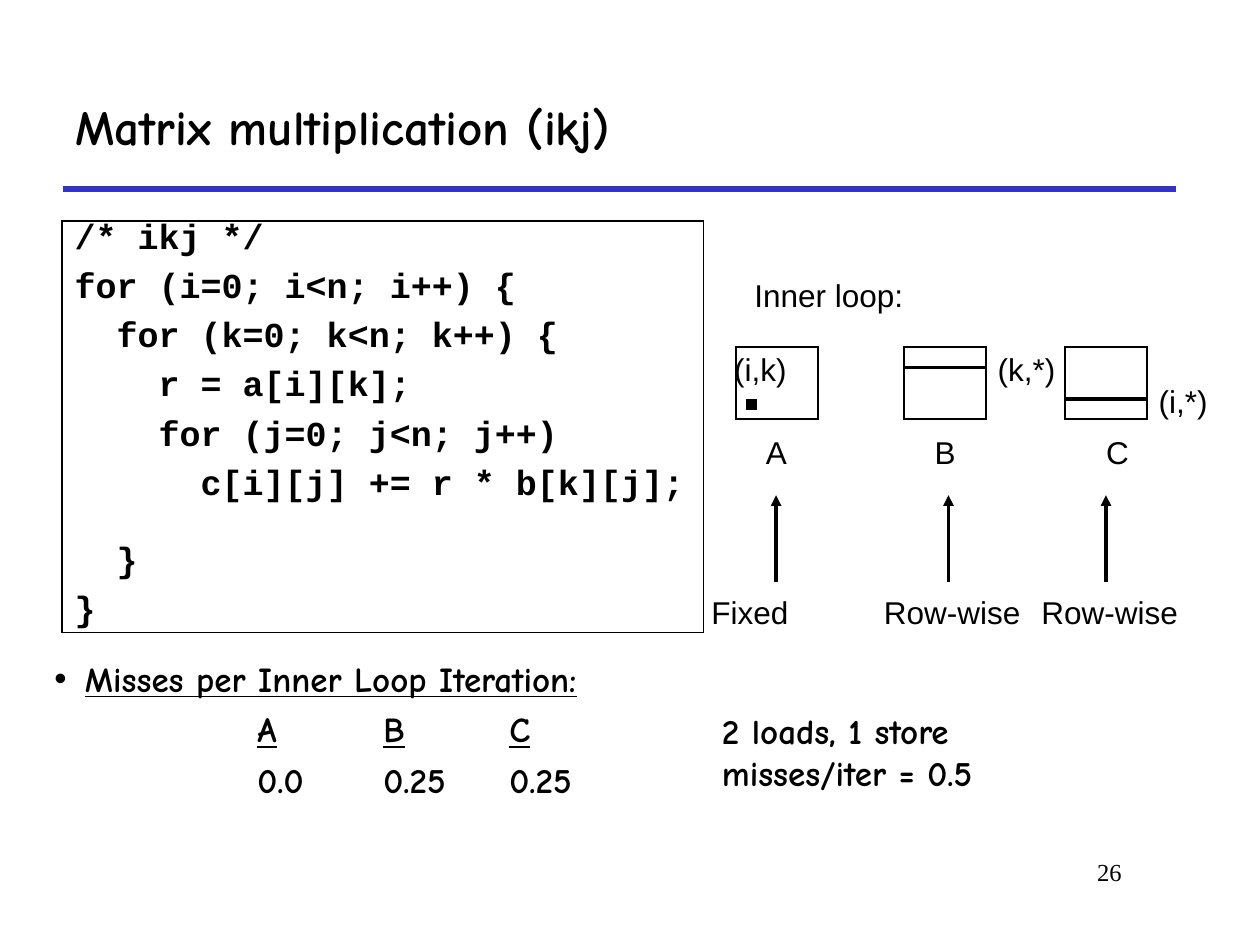
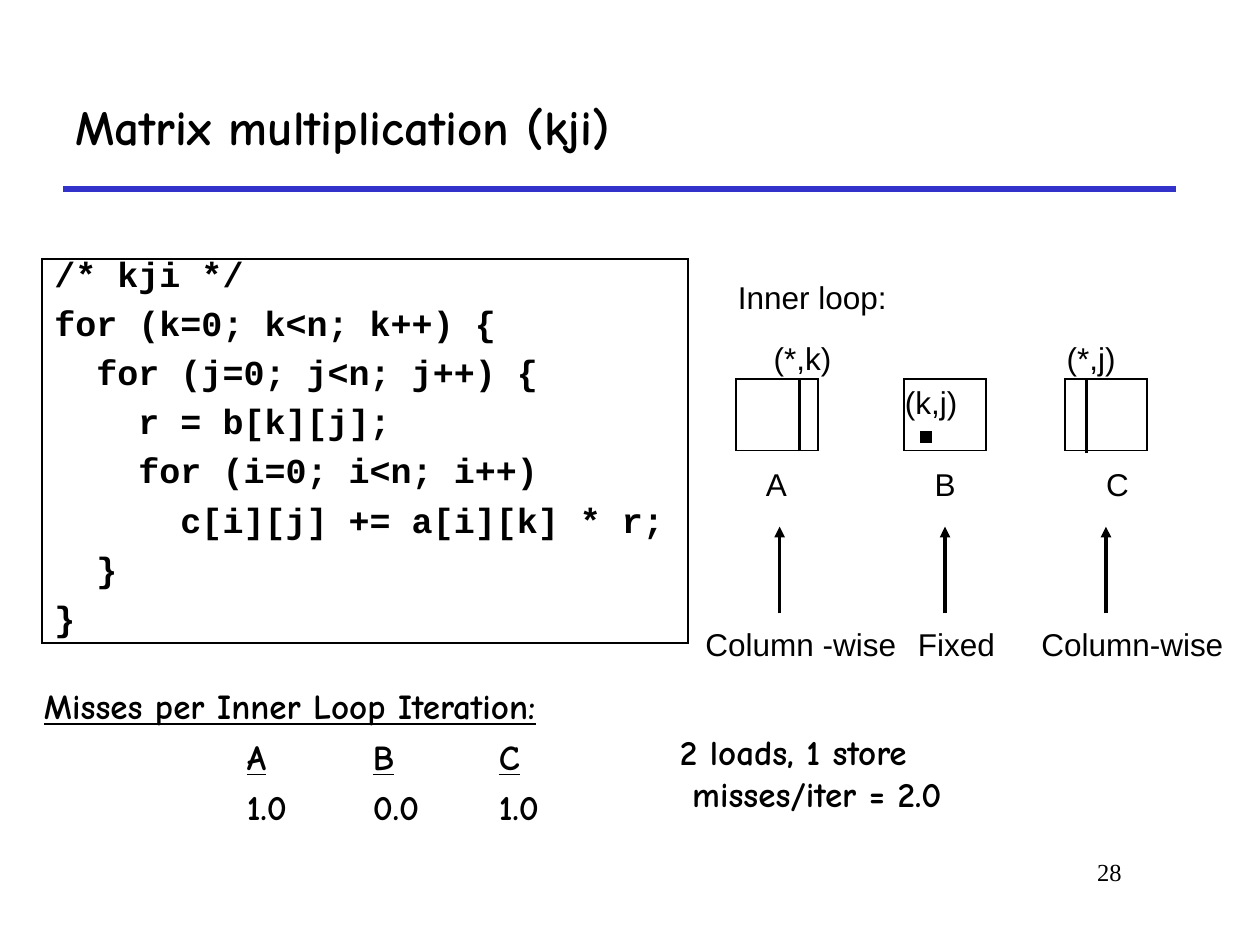
from lxml.etree import SubElement
from pptx import Presentation
from pptx.dml.color import RGBColor
from pptx.enum.shapes import MSO_CONNECTOR, MSO_SHAPE
from pptx.enum.text import MSO_ANCHOR, PP_ALIGN
from pptx.oxml.ns import qn
from pptx.util import Pt

BLACK, WHITE, RULE_BLUE = "000000", "FFFFFF", "3333CC"
HEADING_FONT, CODE_FONT = "Comic Neue", "Courier New"
LABEL_FONT, NUMBER_FONT = "Arial", "Times New Roman"

MATRIX_LEFTS = {"A": 420.5, "B": 516.5, "C": 608.5}
NAME_LEFTS = {"A": 430.5, "B": 527, "C": 625}
MATRIX_SIZE = (47, 41)
MISS_INDENT, MISS_TAB = 44, 72

IKJ = {
    "order": "ikj", "number": "26",
    "code_box": (35.5, 126.5, 366.5, 235),
    "code": ["/* ikj */", "for (i=0; i<n; i++) {", "  for (k=0; k<n; k++) {",
             "    r = a[i][k];", "    for (j=0; j<n; j++)",
             "      c[i][j] += r * b[k][j];", "  }", "}"],
    "wide_gap_line": 6,
    "inner_loop": (424, 154),
    "matrix_top": 198.5,
    "indices": [("(i,k)", 412.5, 196.5, 50), ("(k,*)", 563, 196.5, 54),
                ("(i,*)", 655, 214.5, 50)],
    "element": (427, 229),
    "strips": [(517, 210, 563, 210), (609, 228, 655, 228)],
    "access": [("Fixed", 399.5, 64, 443.5), ("Row-wise", 498, 98, 542),
               ("Row-wise", 588, 98, 632)],
    "misses_box": (24, 372, 391, 96.5), "bullet": True,
    "misses": ("0.0", "0.25", "0.25"),
    "total_box": (396, 402, 252, 55.5), "total": "misses/iter = 0.5", "total_indent": 9.5,
}
KJI = {
    "order": "kji", "number": "28",
    "code_box": (24, 148, 369, 219.5),
    "code": ["/* kji */", "for (k=0; k<n; k++) {", "  for (j=0; j<n; j++) {",
             "    r = b[k][j];", "    for (i=0; i<n; i++)",
             "      c[i][j] += a[i][k] * r;", "  }", "}"],
    "wide_gap_line": None,
    "inner_loop": (414.5, 155.5),
    "matrix_top": 216.5,
    "indices": [("(*,k)", 435, 190, 54), ("(k,j)", 510, 215.5, 50),
                ("(*,j)", 602.5, 190, 50)],
    "element": (527, 247.5),
    "strips": [(457, 258, 457, 216), (621, 259, 621, 217)],
    "access": [("Column -wise", 396, 138, 445.5), ("Fixed", 517.5, 64, 540),
               ("Column-wise", 588, 124, 632)],
    "misses_box": (18, 387.5, 379, 96.5), "bullet": False,
    "misses": ("1.0", "0.0", "1.0"),
    "total_box": (372, 414, 216, 55.5), "total": "misses/iter = 2.0", "total_indent": 16.5,
}


def color(hex_code):
    """Turn a hex string into a colour."""
    return RGBColor.from_string(hex_code)


def add_run(paragraph, text, font, size, bold=False, underline=False):
    """Append one styled run to a paragraph."""
    run = paragraph.add_run()
    run.text = text
    run.font.name, run.font.size = font, Pt(size)
    run.font.bold, run.font.underline = bold, underline
    run.font.color.rgb = color(BLACK)


def add_text(slide, box, anchor=MSO_ANCHOR.TOP):
    """Add an empty text box and return its text frame."""
    frame = slide.shapes.add_textbox(*map(Pt, box)).text_frame
    frame.word_wrap, frame.vertical_anchor = True, anchor
    return frame


def next_paragraph(frame, space_before=0):
    """Return the unused first paragraph, or a new one with space before."""
    first = frame.paragraphs[0]
    if not first.runs:
        return first
    paragraph = frame.add_paragraph()
    paragraph.space_before = Pt(space_before)
    return paragraph


def set_indent(paragraph, margin, hanging=0):
    """Set the left margin and hanging indent of a paragraph."""
    properties = paragraph._p.get_or_add_pPr()
    properties.set("marL", str(Pt(margin)))
    properties.set("indent", str(-Pt(hanging)))
    return properties


def add_rectangle(slide, box, fill=None, line_width=1):
    """Add a black-edged, sharp-cornered rectangle, hollow unless a fill is given."""
    rectangle = slide.shapes.add_shape(MSO_SHAPE.RECTANGLE, *map(Pt, box))
    rectangle.shadow.inherit = False
    if fill:
        rectangle.fill.solid()
        rectangle.fill.fore_color.rgb = color(fill)
    else:
        rectangle.fill.background()
    rectangle.line.color.rgb = color(BLACK)
    rectangle.line.width = Pt(line_width)
    SubElement(rectangle.line._get_or_add_ln(), qn("a:miter"), lim="800000")
    return rectangle


def add_line(slide, ends, width=2, stroke=BLACK, arrow=False):
    """Add a straight line, with an arrowhead at its end if asked."""
    line = slide.shapes.add_connector(MSO_CONNECTOR.STRAIGHT, *map(Pt, ends))
    line.line.color.rgb, line.line.width = color(stroke), Pt(width)
    if arrow:
        SubElement(line.line._get_or_add_ln(), qn("a:tailEnd"), type="triangle")
    SubElement(line._element.spPr, qn("a:effectLst"))


def add_label(slide, text, left, top, width):
    """Add a one-line diagram label."""
    frame = add_text(slide, (left, top, width, 29))
    add_run(frame.paragraphs[0], text, LABEL_FONT, 18)


def add_frame(slide, order, number):
    """Add the title, the rule below it and the slide number."""
    add_line(slide, (36, 108, 672, 108), 3, RULE_BLUE)
    title = add_text(slide, (36, 36, 636, 72), MSO_ANCHOR.MIDDLE)
    add_run(title.paragraphs[0], f"Matrix multiplication ({order})", HEADING_FONT, 28, True)
    footer = add_text(slide, (546, 486, 102, 36)).paragraphs[0]
    footer.alignment = PP_ALIGN.RIGHT
    add_run(footer, number, NUMBER_FONT, 14)


def add_code(slide, box, lines, wide_gap_line):
    """Add the framed code listing."""
    frame = add_rectangle(slide, box).text_frame
    frame.word_wrap, frame.vertical_anchor = True, MSO_ANCHOR.TOP
    for index, line in enumerate(lines):
        paragraph = next_paragraph(frame, 28.5 if index == wide_gap_line else 12.5)
        paragraph.alignment, paragraph.line_spacing = PP_ALIGN.LEFT, 0.65
        add_run(paragraph, line, CODE_FONT, 20, True)


def add_inner_loop(slide, loop):
    """Draw the three matrices with the parts the inner loop touches."""
    top = loop["matrix_top"]
    add_label(slide, "Inner loop:", *loop["inner_loop"], 106)
    for matrix, left in MATRIX_LEFTS.items():
        add_rectangle(slide, (left, top, *MATRIX_SIZE), WHITE)
        add_label(slide, matrix, NAME_LEFTS[matrix], top + 45.5, 32)
    add_rectangle(slide, (*loop["element"], 4.5, 4.5), BLACK, 2)
    for strip in loop["strips"]:
        add_line(slide, strip)
    for index in loop["indices"]:
        add_label(slide, *index)
    for access, left, width, arrow_x in loop["access"]:
        add_label(slide, access, left, top + 137, width)
        add_line(slide, (arrow_x, top + 134, arrow_x, top + 84.5), arrow=True)


def add_misses(slide, box, misses, bullet):
    """Add the misses per matrix, lined up on even tab stops."""
    frame = add_text(slide, box)
    heading = next_paragraph(frame)
    if bullet:
        properties = set_indent(heading, 17.5, 17.5)
        SubElement(properties, qn("a:buFont"), typeface=LABEL_FONT)
        SubElement(properties, qn("a:buChar"), char="•")
    add_run(heading, "Misses per Inner Loop Iteration:", HEADING_FONT, 20, True, True)
    for cells, underline in ((MATRIX_LEFTS, True), (misses, False)):
        row = next_paragraph(frame, 5)
        set_indent(row, MISS_INDENT).set("defTabSz", str(Pt(MISS_TAB)))
        for cell in cells:
            add_run(row, "\t", HEADING_FONT, 20, True)
            add_run(row, cell, HEADING_FONT, 20, True, underline)


def add_total(slide, box, total, total_indent):
    """Add the summary of loads, stores and misses per iteration."""
    frame = add_text(slide, box)
    for text, indent in (("2 loads, 1 store", 9.5), (total, total_indent)):
        paragraph = next_paragraph(frame)
        set_indent(paragraph, indent)
        add_run(paragraph, text, HEADING_FONT, 20, True)


def main():
    """Build one slide per loop order and save the deck."""
    deck = Presentation()
    deck.slide_width, deck.slide_height = Pt(720), Pt(540)
    for loop in (IKJ, KJI):
        slide = deck.slides.add_slide(deck.slide_layouts[6])
        add_frame(slide, loop["order"], loop["number"])
        add_code(slide, loop["code_box"], loop["code"], loop["wide_gap_line"])
        add_inner_loop(slide, loop)
        add_misses(slide, loop["misses_box"], loop["misses"], loop["bullet"])
        add_total(slide, loop["total_box"], loop["total"], loop["total_indent"])
    deck.save("out.pptx")


if __name__ == "__main__":
    main()
